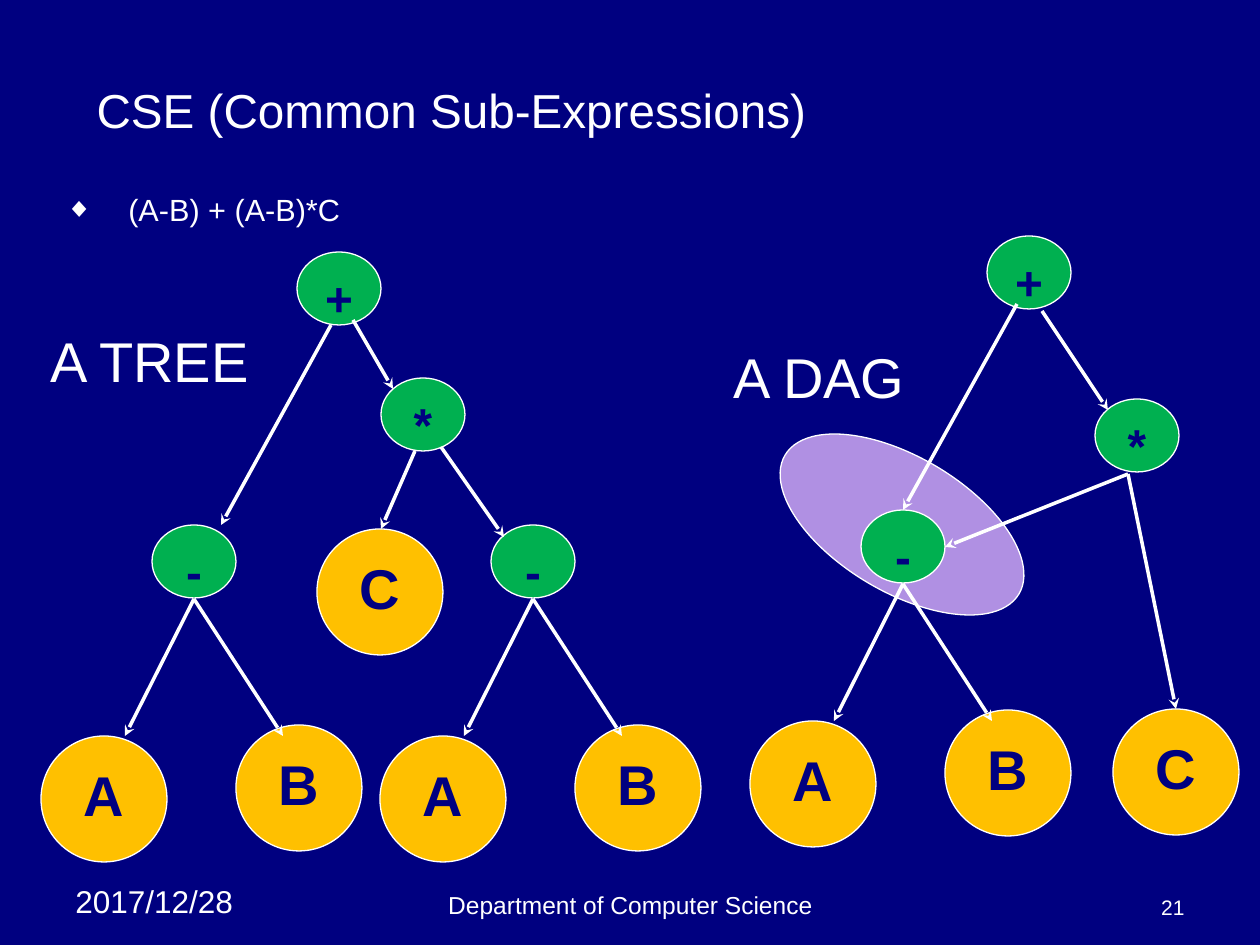
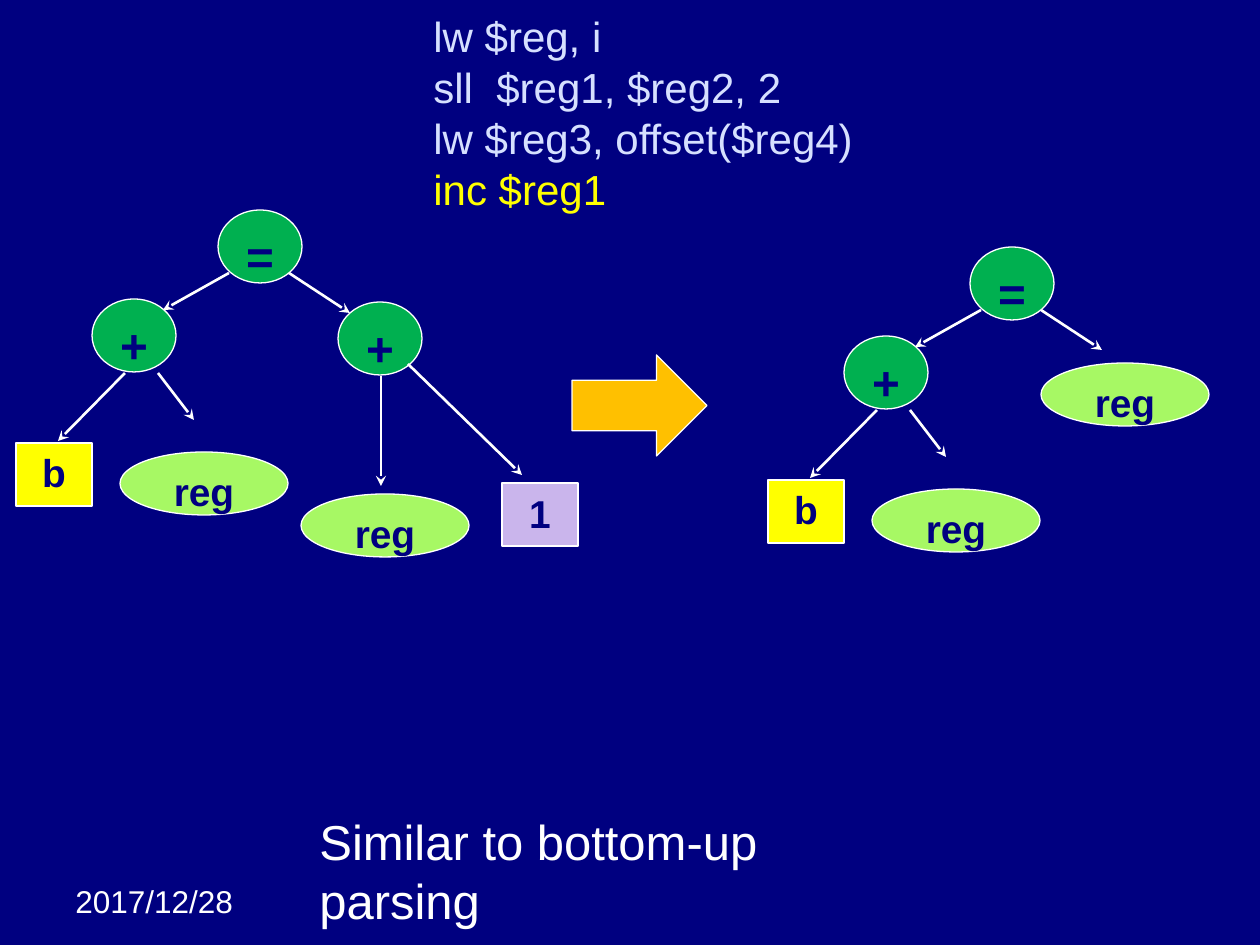
from dataclasses import dataclass

from lxml.etree import SubElement
from pptx import Presentation
from pptx.dml.color import RGBColor
from pptx.enum.shapes import MSO_CONNECTOR, MSO_SHAPE
from pptx.enum.text import MSO_ANCHOR, MSO_AUTO_SIZE, PP_ALIGN
from pptx.oxml.ns import qn
from pptx.util import Emu, Pt

PX = 914400 / 126


@dataclass(frozen=True)
class Theme:
    font: str = "Arial"
    navy: str = "000080"
    white: str = "FFFFFF"
    green: str = "00B050"
    amber: str = "FFC000"
    yellow: str = "FFFF00"
    lime: str = "A7F864"
    lilac: str = "CAB5EC"
    purple: str = "B090E3"
    pale: str = "D6E0FF"
    title: float = 27.2
    bullet: float = 17.5
    label: float = 32
    closing: float = 28
    code: float = 24
    date: float = 18
    footer: float = 14
    number: float = 12
    outline: float = 0.75


T = Theme()

# Node kinds: shape, width, height, fill, text size
OPERATOR = (MSO_SHAPE.OVAL, 84, 73, T.green, 27.2)
OPERAND = (MSO_SHAPE.OVAL, 126, 126, T.amber, 32)
REGISTER = (MSO_SHAPE.OVAL, 168, 63, T.lime, 22.2)
VARIABLE = (MSO_SHAPE.RECTANGLE, 76, 63, T.yellow, 22.2)
CONSTANT = (MSO_SHAPE.RECTANGLE, 76, 63, T.lilac, 22.2)


# Helpers
def px(*values):
    return [Emu(round(v * PX)) for v in values]


def write(tf, text, size, color=T.white, bold=False, align=PP_ALIGN.LEFT,
          anchor=MSO_ANCHOR.TOP, wrap=True):
    tf.word_wrap = wrap
    tf.vertical_anchor = anchor
    tf.auto_size = MSO_AUTO_SIZE.NONE if wrap else MSO_AUTO_SIZE.SHAPE_TO_FIT_TEXT
    p = tf.paragraphs[0]
    p.alignment = align
    r = p.add_run()
    r.text = text
    r.font.name = T.font
    r.font.size = Pt(size)
    r.font.bold = bold
    r.font.color.rgb = RGBColor.from_string(color)
    return p


def add_text(s, box, text, size, **fmt):
    return write(s.shapes.add_textbox(*px(*box)).text_frame, text, size, **fmt)


def add_figure(s, shape, box, fill):
    sp = s.shapes.add_shape(shape, *px(*box))
    sp.shadow.inherit = False
    sp.fill.solid()
    sp.fill.fore_color.rgb = RGBColor.from_string(fill)
    sp.line.color.rgb = RGBColor.from_string(T.white)
    sp.line.width = Pt(T.outline)
    return sp


def add_nodes(s, origin, nodes):
    for (shape, w, h, fill, size), x, y, text in nodes:
        sp = add_figure(s, shape, (origin[0] + x, origin[1] + y, w, h), fill)
        write(sp.text_frame, text, size, color=T.navy, bold=True,
              align=PP_ALIGN.CENTER)


def add_arrows(s, origin, arrows, width):
    x, y = origin
    for x1, y1, x2, y2 in arrows:
        c = s.shapes.add_connector(MSO_CONNECTOR.STRAIGHT,
                                   *px(x + x1, y + y1, x + x2, y + y2))
        c.line.color.rgb = RGBColor.from_string(T.white)
        c.line.width = Pt(width)
        SubElement(c.line._get_or_add_ln(), qn("a:tailEnd"), type="stealth")
        SubElement(c._element.spPr, qn("a:effectLst"))


def add_date(s):
    add_text(s, (63, 876, 199, 50), "2017/12/28", T.date)


# Slide 1: common sub-expressions
def add_heading(s):
    title = s.shapes.title
    title.left, title.top, title.width, title.height = px(84, 73, 1071, 73)
    write(title.text_frame, "CSE (Common Sub-Expressions)", T.title,
          anchor=MSO_ANCHOR.MIDDLE)
    p = add_text(s, (53, 179, 1144, 60), "(A-B) + (A-B)*C", T.bullet,
                 anchor=MSO_ANCHOR.MIDDLE)
    pPr = p._p.get_or_add_pPr()
    indent = px(63)[0]
    pPr.set("marL", str(indent))
    pPr.set("indent", str(-indent))
    color = SubElement(pPr, qn("a:buClr"))
    SubElement(color, qn("a:srgbClr"), val=T.white)
    SubElement(pPr, qn("a:buSzPct"), val="90000")
    SubElement(pPr, qn("a:buFont"), typeface=T.font)
    SubElement(pPr, qn("a:buChar"), char="◆")


def add_difference(s, origin):
    """Draw A - B, with its operator at the origin."""
    add_nodes(s, origin, [(OPERAND, -111, 211, "A"), (OPERAND, 84, 200, "B"),
                          (OPERATOR, 0, 0, "-")])
    add_arrows(s, origin, [(42, 74, -27, 211), (42, 74, 131, 211)], 2)


def add_tree(s, origin):
    x, y = origin
    for dx in (-145, 194):
        add_difference(s, (x + dx, y + 273))
    add_nodes(s, origin, [(OPERATOR, 84, 126, "*"), (OPERAND, 20, 277, "C"),
                          (OPERATOR, 0, 0, "+")])
    add_arrows(s, origin, [(118, 199, 84, 277), (144, 195, 207, 285),
                           (56, 68, 96, 137), (34, 73, -76, 273)], 2)
    add_text(s, (x - 259, y + 68, 227, 81), "A TREE", T.label, wrap=False)


def add_dag(s, origin):
    x, y = origin
    halo = add_figure(s, MSO_SHAPE.OVAL, (x - 221, y + 221, 272, 135), T.purple)
    halo.rotation = 30.7
    add_difference(s, (x - 126, y + 274))
    add_nodes(s, origin, [(OPERAND, 126, 473, "C"), (OPERATOR, 108, 163, "*"),
                          (OPERATOR, 0, 0, "+")])
    add_arrows(s, origin, [(141, 238, -42, 311), (141, 238, 189, 473),
                           (30, 68, -84, 274), (55, 75, 121, 174)], 2)
    add_text(s, (x - 266, y + 100, 199, 81), "A DAG", T.label, wrap=False)


def add_footer(s):
    add_date(s)
    add_text(s, (431, 861, 399, 65), "Department of Computer Science", T.footer,
             align=PP_ALIGN.CENTER, anchor=MSO_ANCHOR.BOTTOM)
    add_text(s, (903, 861, 294, 65), "21", T.number,
             align=PP_ALIGN.RIGHT, anchor=MSO_ANCHOR.BOTTOM)


def build_cse_slide(prs):
    s = prs.slides.add_slide(prs.slide_layouts[5])
    add_heading(s)
    add_tree(s, (297, 252))
    add_dag(s, (987, 236))
    add_footer(s)


# Slide 2: instruction selection
def add_code(s, left, top):
    lines = [("lw $reg, i", 204, T.pale),
             ("sll  $reg1, $reg2, 2", 373, T.pale),
             ("lw $reg3, offset($reg4)", 445, T.pale),
             ("inc $reg1", 198, T.yellow)]
    for i, (text, width, color) in enumerate(lines):
        add_text(s, (left, top + 51 * i, width, 63), text, T.code,
                 color=color, wrap=False)


def add_assignment(s, origin, nodes, arrows=()):
    """Draw the shared left side of '=', then the given right side."""
    add_nodes(s, origin, [(OPERATOR, -126, 89, "+"), (OPERATOR, 0, 0, "="),
                          (VARIABLE, -202, 233, "b"),
                          (REGISTER, -98, 242, "reg"), *nodes])
    add_arrows(s, origin, [(11, 63, -55, 100), (71, 63, 132, 103),
                           (-60, 163, -24, 210), (-93, 163, -160, 231),
                           *arrows], 1.5)


def build_selection_slide(prs):
    s = prs.slides.add_slide(prs.slide_layouts[6])
    add_date(s)
    add_figure(s, MSO_SHAPE.RIGHT_ARROW, (572, 355, 135, 101), T.amber)
    add_assignment(s, (218, 210),
                   [(OPERATOR, 120, 92, "+"), (CONSTANT, 284, 273, "1"),
                    (REGISTER, 83, 284, "reg")],
                   [(163, 166, 163, 276), (190, 154, 304, 265)])
    add_assignment(s, (970, 247), [(REGISTER, 71, 116, "reg")])
    add_code(s, 421, 4)
    add_text(s, (307, 805, 636, 72), "Similar to bottom-up parsing", T.closing,
             wrap=False)


def main():
    prs = Presentation()
    prs.slide_width, prs.slide_height = px(1260, 945)
    fill = prs.slide_master.background.fill
    fill.solid()
    fill.fore_color.rgb = RGBColor.from_string(T.navy)
    build_cse_slide(prs)
    build_selection_slide(prs)
    prs.save("out.pptx")


if __name__ == "__main__":
    main()
